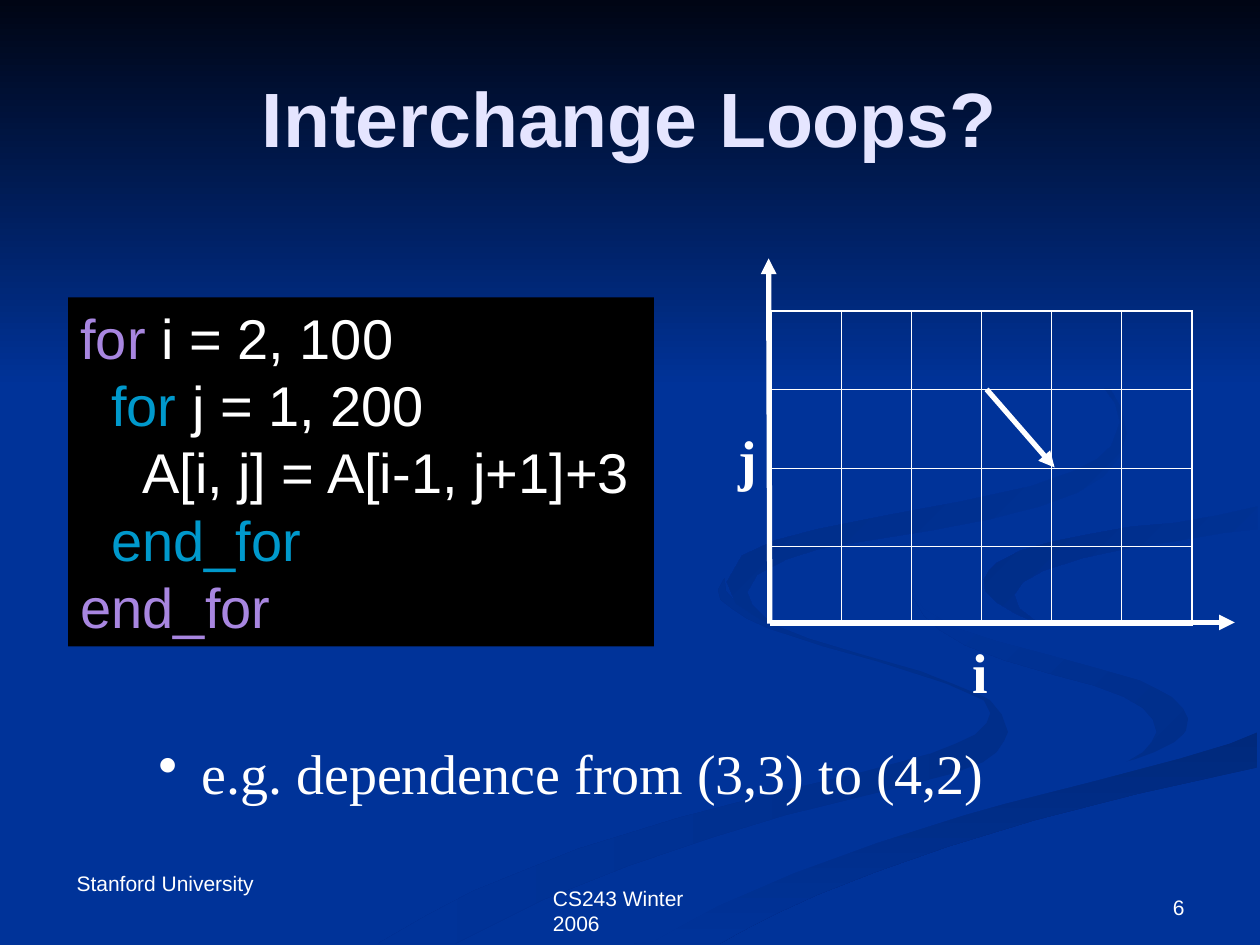
from pptx import Presentation
from pptx.dml.color import RGBColor
from pptx.enum.shapes import MSO_CONNECTOR, MSO_SHAPE
from pptx.enum.text import MSO_ANCHOR, PP_ALIGN
from pptx.oxml import parse_xml
from pptx.oxml.ns import nsdecls
from pptx.util import Emu, Inches, Pt

LEFT, CENTER, RIGHT = PP_ALIGN.LEFT, PP_ALIGN.CENTER, PP_ALIGN.RIGHT
TOP, MIDDLE, BOTTOM = MSO_ANCHOR.TOP, MSO_ANCHOR.MIDDLE, MSO_ANCHOR.BOTTOM
STRAIGHT, RECTANGLE = MSO_CONNECTOR.STRAIGHT, MSO_SHAPE.RECTANGLE

WHITE, BLACK, BLUE, LAVENDER = "FFFFFF", "000000", "003399", "E5E5FF"
OUTER, INNER = "A886E0", "0099CC"
SANS, SERIF = "Arial", "Times New Roman"
CELL = Inches(0.1)  # the slide is a grid of 100 columns by 75 rows


def colour(value):
    return RGBColor.from_string(value)


def grid(*lengths):
    return [Emu(round(length * CELL)) for length in lengths]


class Slide:
    def __init__(self, deck, background):
        self.page = deck.slides.add_slide(deck.slide_layouts[6])
        self.shapes = self.page.shapes
        self.page.background.fill.solid()
        self.page.background.fill.fore_color.rgb = colour(background)

    def ribbon(self, points, start, end=None, angle=0):
        """Filled outline; points are in tenths of a grid cell."""
        builder = self.shapes.build_freeform(*points[0], scale=CELL / 10)
        builder.add_line_segments(points[1:], close=True)
        self.paint(builder.convert_to_shape(), start, end, angle)

    def paint(self, shape, start, end=None, angle=0):
        shape.shadow.inherit = False
        shape.line.fill.background()
        if end is None:
            shape.fill.solid()
            shape.fill.fore_color.rgb = colour(start)
            return
        shape.fill.gradient()
        shape.fill.gradient_angle = (360 - angle) % 360
        for stop, value in zip(shape.fill.gradient_stops, (start, end)):
            stop.color.rgb = colour(value)

    def panel(self, at, fill):
        shape = self.shapes.add_shape(RECTANGLE, *grid(*at))
        self.paint(shape, fill)
        return shape

    def text(self, at, lines, size, font=SANS, bold=False, align=LEFT,
             anchor=TOP, wrap=True, box=None):
        """Each line is (indent in cells, [(words, colour), ...])."""
        box = box or self.shapes.add_textbox(*grid(*at))
        frame = box.text_frame
        frame.word_wrap = wrap
        frame.vertical_anchor = anchor
        frame.text = "\n".join("".join(words for words, _ in spans) for _, spans in lines)
        for para, (indent, spans) in zip(frame.paragraphs, lines):
            para.text = ""
            para.alignment = align
            para._p.get_or_add_pPr().set("marL", str(grid(indent)[0]))
            for words, value in spans:
                span = para.add_run()
                span.text = words
                span.font.size, span.font.name, span.font.bold = Pt(size), font, bold
                span.font.color.rgb = colour(value)
        return box

    def label(self, at, words, size, value=WHITE, **style):
        return self.text(at, [(0, [(words, value)])], size, **style)

    def bullet(self, at, words, size, hang, **style):
        box = self.text(at, [(hang, [(words, WHITE)])], size, **style)
        properties = box.text_frame.paragraphs[0]._p.get_or_add_pPr()
        properties.set("indent", str(-grid(hang)[0]))
        properties.append(parse_xml(f'<a:buChar {nsdecls("a")} char="•"/>'))

    def lattice(self, at, columns, rows, inner, outer):
        table = self.shapes.add_table(rows, columns, *grid(*at)).table
        table.first_row = table.horz_banding = False
        for r in range(rows):
            for c in range(columns):
                cell = table.cell(r, c)
                cell.fill.background()
                edges = {"L": c == 0, "R": c == columns - 1,
                         "T": r == 0, "B": r == rows - 1}
                for place, (side, outside) in enumerate(edges.items()):
                    width = Pt(outer if outside else inner)
                    cell._tc.get_or_add_tcPr().insert(place, parse_xml(
                        f'<a:ln{side} {nsdecls("a")} w="{width}"><a:solidFill>'
                        f'<a:srgbClr val="{WHITE}"/></a:solidFill></a:ln{side}>'))

    def arrow(self, start, end, width=3):
        line = self.shapes.add_connector(STRAIGHT, *grid(*start, *end))
        line.line.color.rgb = colour(WHITE)
        line.line.width = Pt(width)
        line.line._get_or_add_ln().append(
            parse_xml(f'<a:tailEnd {nsdecls("a")} type="triangle"/>'))
        line._element.spPr.append(parse_xml(f'<a:effectLst {nsdecls("a")}/>'))


deck = Presentation()
deck.slide_width, deck.slide_height = grid(100, 75)
slide = Slide(deck, BLUE)

# Background ribbons: shared edges are listed once
lower_edge = [(519, 747), (544, 733), (570, 719), (630, 693), (696, 669), (765, 647),
              (797, 638), (868, 620), (936, 602), (976, 590), (998, 581)]
upper_bend = [(781, 460), (785, 453), (791, 447), (810, 437), (835, 430), (865, 424),
              (898, 418), (933, 415), (967, 409), (998, 402)]
middle_bend = [(724, 464), (727, 474), (733, 483), (745, 490), (758, 498), (792, 509),
               (830, 519), (870, 530), (905, 540), (919, 547), (930, 553), (939, 562),
               (943, 570)]

slide.ribbon([
    (781, 553), (757, 543), (731, 533), (682, 519), (642, 507), (614, 496), (594, 485),
    (583, 477), (576, 469), (575, 459), (570, 468), (572, 476), (581, 483), (593, 491),
    (611, 499), (654, 513), (697, 525), (728, 535), (752, 543), (770, 551), (781, 556),
    (786, 566), (783, 574), (774, 583), (759, 590), (739, 598), (714, 605), (684, 613),
    (616, 629), (539, 649), (458, 674), (376, 707), (338, 727), (300, 749), (361, 749),
    (431, 714), (499, 687), (564, 665), (623, 647), (676, 634), (721, 623), (756, 614),
    (780, 605), (791, 597), (797, 588), (800, 581), (795, 567), (786, 556),
], "002E8A", BLUE, 180)
slide.ribbon(middle_bend[::-1] + [
    (725, 474), (733, 488), (746, 500), (766, 512), (797, 524), (838, 536), (868, 544),
    (892, 553), (907, 562), (915, 571), (918, 581), (914, 589), (907, 597), (894, 605),
    (916, 597), (932, 589), (941, 581),
], "002E8A", BLUE, 225)
slide.ribbon([(503, 749), (571, 749), (587, 740), (614, 726), (649, 710), (695, 692),
              (752, 672), (821, 651), (903, 630), (998, 609)] + lower_edge[::-1],
             "00297C", BLUE, 90)
slide.ribbon(middle_bend + [
    (942, 579), (936, 587), (926, 593), (911, 600), (892, 605), (843, 618), (780, 634),
    (704, 655), (619, 684), (526, 724), (477, 749), (503, 749),
] + lower_edge + [
    (999, 538), (959, 531), (904, 519), (848, 503), (817, 492), (794, 480), (784, 469),
] + upper_bend + [
    (999, 387), (962, 395), (920, 401), (851, 411), (788, 422), (755, 432), (732, 446),
    (727, 454),
], BLUE)
slide.ribbon([(998, 420), (971, 423), (936, 429), (896, 435), (859, 443), (828, 453),
              (812, 462), (805, 472), (809, 483), (826, 496), (806, 487), (791, 478),
              (782, 469)] + upper_bend, BLUE, "002C85", 225)
slide.ribbon([
    (683, 430), (739, 421), (786, 412), (825, 402), (855, 391), (876, 378), (889, 362),
    (894, 344), (890, 324), (880, 307), (864, 291), (843, 275), (810, 256), (780, 241),
    (762, 233), (805, 254), (846, 279), (870, 299), (885, 320), (889, 335), (882, 354),
    (870, 365), (852, 374), (818, 386), (763, 398), (704, 409), (649, 420), (615, 429),
    (589, 441), (577, 462), (584, 479), (604, 492), (622, 500), (607, 490), (597, 480),
    (593, 470), (601, 456), (624, 444), (649, 436),
], BLUE, "002B81", 225)
slide.paint(slide.panel((0, 0, 100, 30.8), BLACK), "000514", BLUE, 90)

# Footer
slide.label((42.9, 69.8, 16.5, 3), "CS243 Winter 2006", 12, wrap=False)
slide.label((5.1, 68.6, 18.8, 3), "Stanford University", 12)
slide.label((71.7, 68.3, 23.3, 5.2), "6", 12, align=RIGHT, anchor=BOTTOM)

# Title
slide.label((5, 3, 90, 12.5), "Interchange Loops?", 44, LAVENDER, bold=True,
            align=CENTER, anchor=MIDDLE)

# Loop code
STEP = 2.45
code = [
    (0, [("for", OUTER), (" i = 2, 100", WHITE)]),
    (STEP, [("for", INNER), (" j = 1, 200", WHITE)]),
    (2 * STEP, [("A[i, j] = A[i-1, j+1]+3", WHITE)]),
    (STEP, [("end_for", INNER)]),
    (0, [("end_for", OUTER)]),
]
code_area = (5.4, 23.6, 46.5, 27.7)
slide.text(code_area, code, 32, box=slide.panel(code_area, BLACK))

# Dependence example
slide.bullet((11.6, 58.1, 81.6, 6.4), "e.g. dependence from (3,3) to (4,2)", 32,
             hang=3.4, font=SERIF)

# Iteration space with axes and dependence arrow
slide.lattice((61.2, 24.7, 33.4, 24.9), 6, 4, inner=0.45, outer=1.08)
for name, left, top in (("i", 76.2, 50.1), ("j", 57.6, 33.2)):
    slide.label((left, top, 3.5, 6.4), name, 32, font=SERIF, bold=True, wrap=False)
for start, end in (((61.2, 49.4), (98, 49.4)),
                   ((61.1, 49.5), (61, 20.5)),
                   ((78.3, 30.9), (83.7, 37.1))):
    slide.arrow(start, end)

deck.save("out.pptx")
